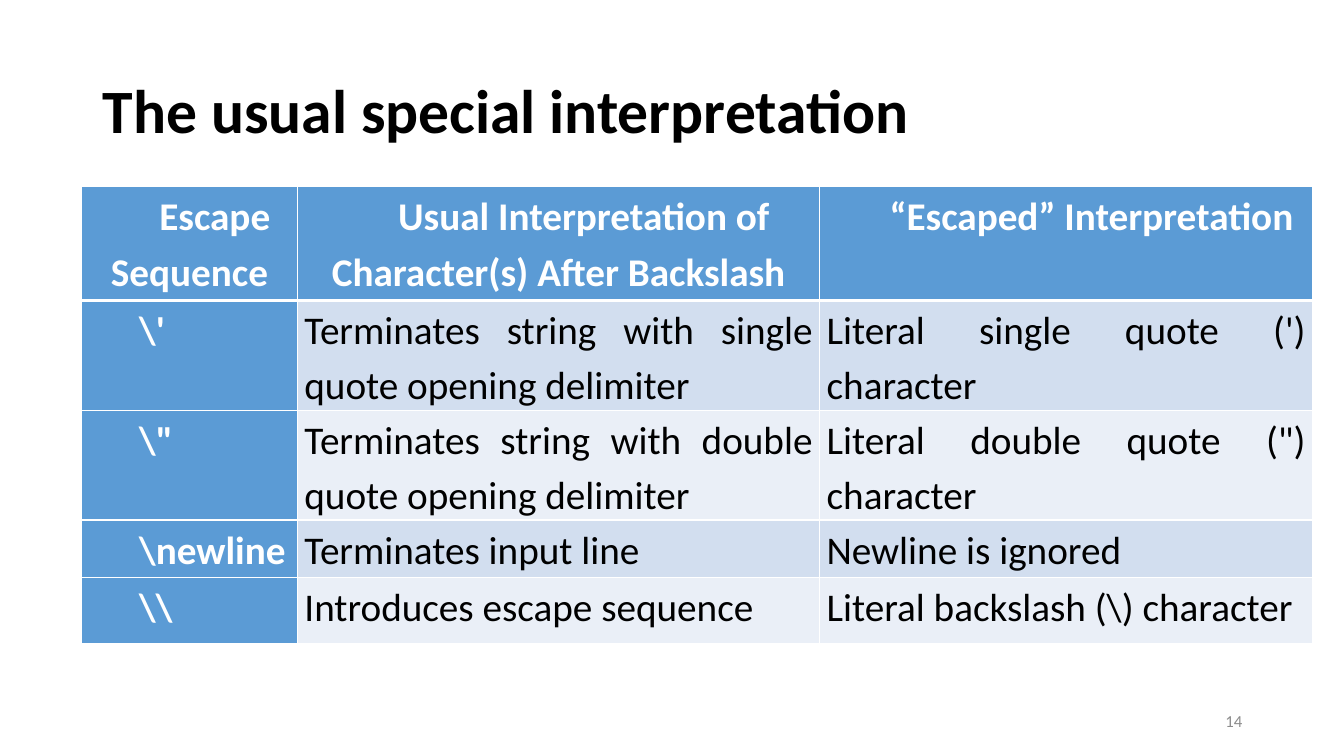
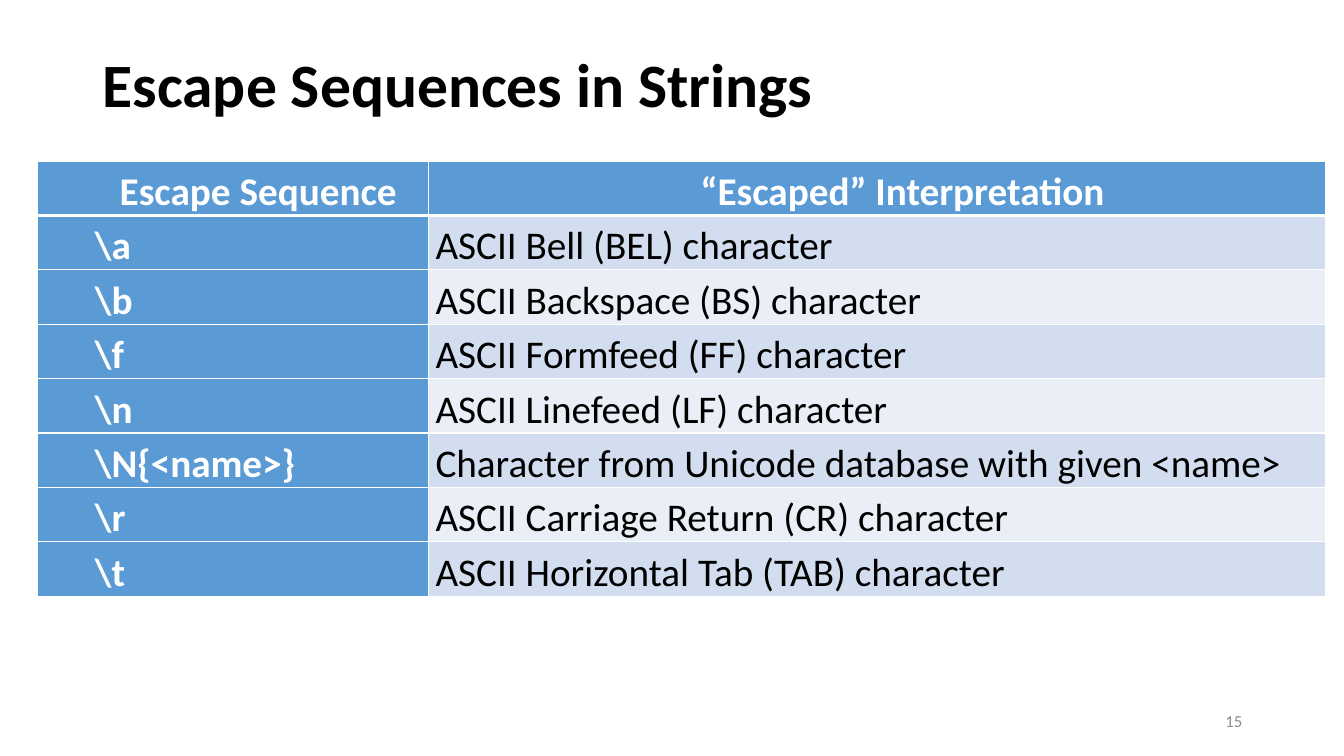
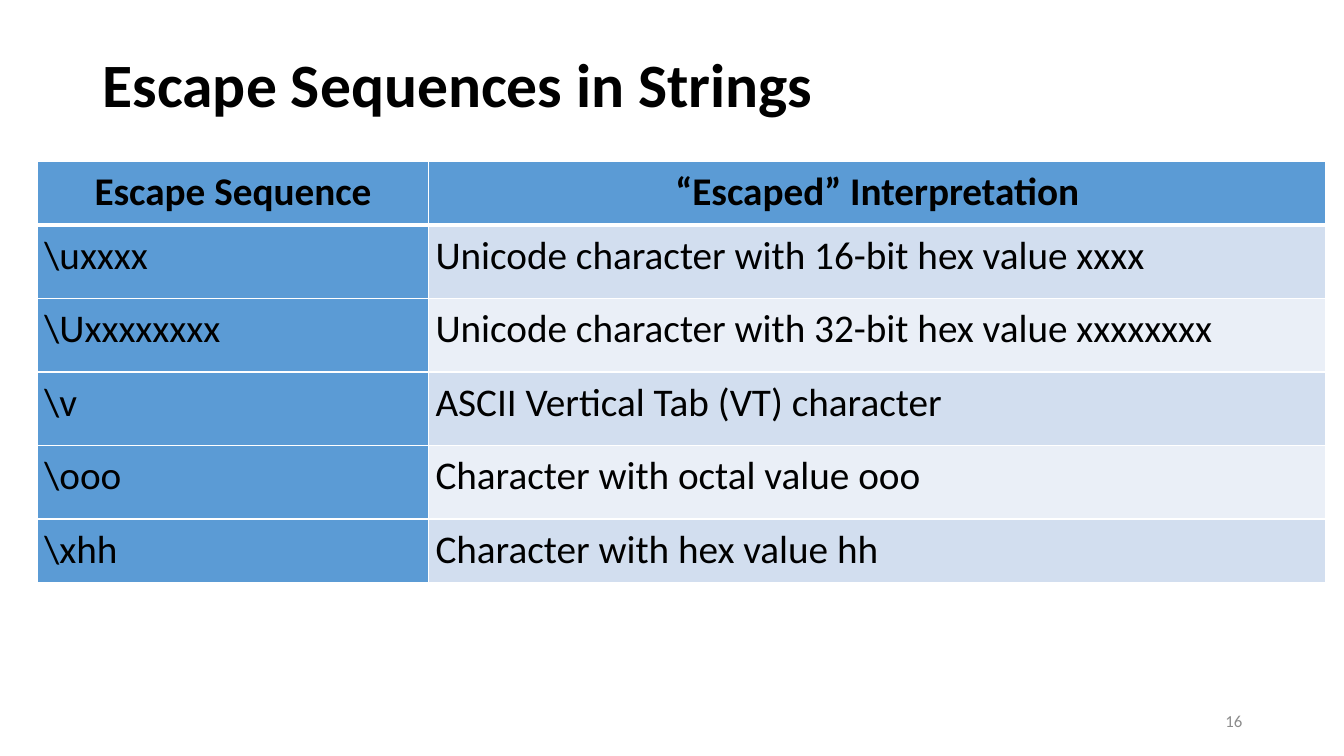
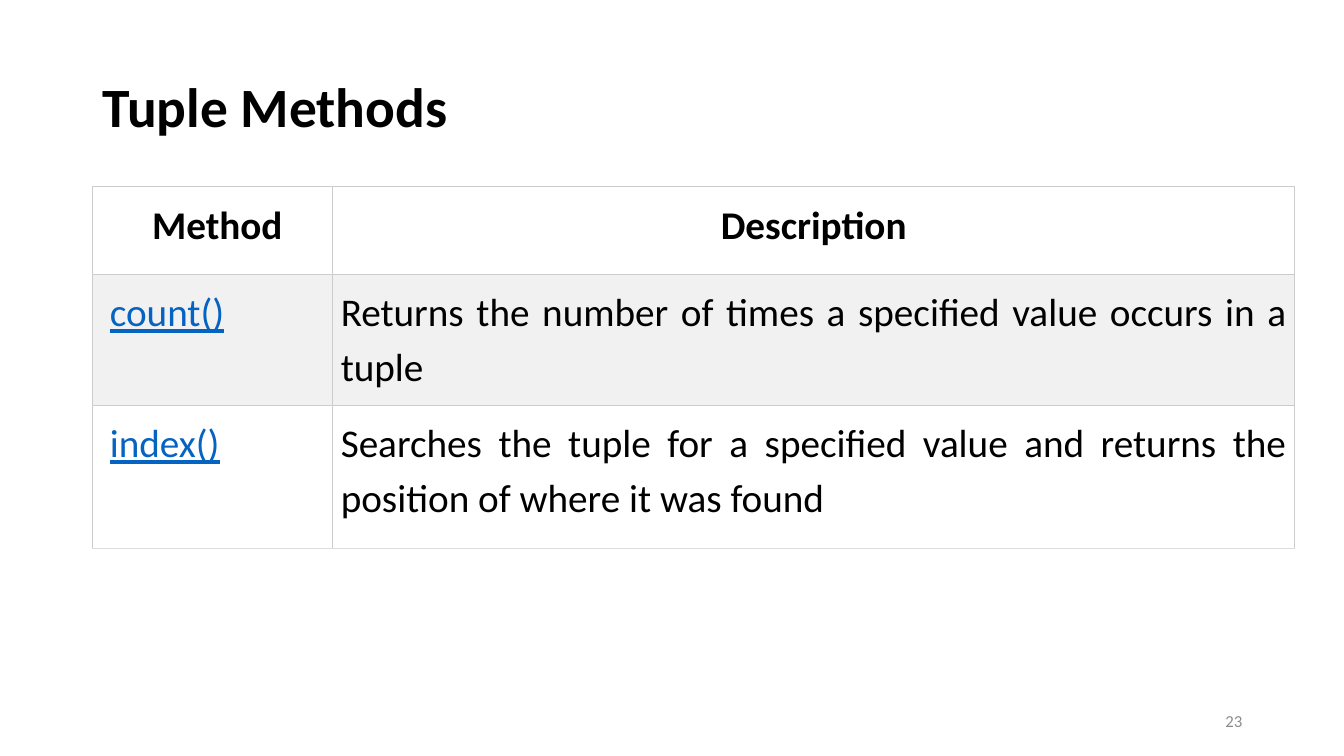
from dataclasses import dataclass, replace
from typing import Any

from lxml.etree import SubElement
from pptx import Presentation
from pptx.dml.color import RGBColor
from pptx.enum.text import MSO_ANCHOR as Anchor, PP_ALIGN as Align
from pptx.oxml.ns import qn
from pptx.util import Emu, Pt

EMU_PER_PX = 9144  # 100 px to the inch
FONT = "Calibri"
COLORS = {
    "black": "000000",
    "white": "FFFFFF",
    "blue": "5B9BD5",
    "band_dark": "D2DEEF",
    "band_light": "EAEFF7",
    "band_gray": "F1F1F1",
    "grid": "CCCCCC",
    "grid_end": "DDDDDD",
    "link": "0563C1",
    "footer": "8C8C8C",
}


@dataclass(frozen=True)
class Box:
    left: int
    top: int
    width: int
    height: int


@dataclass(frozen=True)
class TextStyle:
    size: float = 28
    color: str = "black"
    bold: bool = False
    underline: bool = False
    align: Any = Align.JUSTIFY
    indent: int = 0
    line_spacing: float = 1.15
    space_before: int = 6


@dataclass(frozen=True)
class Border:
    color: str
    points: float


@dataclass(frozen=True)
class TableStyle:
    header: TextStyle
    key: TextStyle
    body: TextStyle
    header_fill: str
    key_fill: str | None  # None lets the first column follow the bands
    bands: tuple[str, str]
    grid: Border
    header_rule: Border
    last_rule: Border
    key_margins: tuple[int, int, int, int]  # left, top, right, bottom
    margins: tuple[int, int, int, int]


@dataclass(frozen=True)
class TableSlide:
    title: str
    title_box: Box
    number: int
    left: int
    top: int
    columns: list[int]
    row_heights: list[int]
    style: TableStyle
    rows: list[tuple[str, ...]]
    title_size: float = 44


FOOTER_BOX = Box(942, 695, 300, 40)
TITLE_TALL = Box(92, 40, 1150, 145)
TITLE_SHORT = Box(92, 40, 1150, 93)
TITLE_TEXT = TextStyle(bold=True, align=Align.LEFT, line_spacing=0.9, space_before=0)
FOOTER_TEXT = TextStyle(12, "footer", align=Align.RIGHT, line_spacing=1, space_before=0)

PLAIN = TextStyle()
HEADING = TextStyle(bold=True, align=Align.CENTER)
THIN_WHITE = Border("white", 1)
THIN_GRAY = Border("grid", 0.75)

BLUE_PLAIN = TableStyle(
    header=HEADING, key=PLAIN, body=PLAIN,
    header_fill="blue", key_fill="blue", bands=("band_dark", "band_light"),
    grid=THIN_WHITE, header_rule=Border("white", 3), last_rule=THIN_WHITE,
    key_margins=(7, 0, 7, 0), margins=(7, 0, 7, 0),
)
BLUE_INDENTED = replace(
    BLUE_PLAIN,
    header=replace(HEADING, color="white", indent=50),
    key=TextStyle(color="white", bold=True, indent=50),
)
GRAY_GRID = TableStyle(
    header=HEADING, key=TextStyle(color="link", underline=True), body=PLAIN,
    header_fill="white", key_fill=None, bands=("band_gray", "white"),
    grid=THIN_GRAY, header_rule=THIN_GRAY, last_rule=Border("grid_end", 0.75),
    key_margins=(17, 8, 8, 8), margins=(8, 8, 8, 8),
)

SLIDES = [
    TableSlide(
        "The usual special interpretation", TITLE_TALL, 14, 81, 185,
        [214, 518, 489], [113, 109, 109, 57, 66], BLUE_INDENTED,
        [
            ("Escape\nSequence",
             "Usual Interpretation of\nCharacter(s) After Backslash",
             "“Escaped” Interpretation"),
            (r"\'", "Terminates string with single quote opening delimiter",
             "Literal single quote (') character"),
            (r'\"', "Terminates string with double quote opening delimiter",
             'Literal double quote (") character'),
            (r"\newline", "Terminates input line", "Newline is ignored"),
            (r"\\", "Introduces escape sequence", r"Literal backslash (\) character"),
        ],
    ),
    TableSlide(
        "Escape Sequences in Strings", TITLE_SHORT, 15, 37, 160,
        [388, 890], [51] + [54] * 7, BLUE_INDENTED,
        [
            ("Escape Sequence", "“Escaped” Interpretation"),
            (r"\a", "ASCII Bell (BEL) character"),
            (r"\b", "ASCII Backspace (BS) character"),
            (r"\f", "ASCII Formfeed (FF) character"),
            (r"\n", "ASCII Linefeed (LF) character"),
            (r"\N{<name>}", "Character from Unicode database with given <name>"),
            (r"\r", "ASCII Carriage Return (CR) character"),
            (r"\t", "ASCII Horizontal Tab (TAB) character"),
        ],
    ),
    TableSlide(
        "Escape Sequences in Strings", TITLE_SHORT, 16, 37, 160,
        [388, 890], [63] + [73] * 4 + [63], BLUE_PLAIN,
        [
            ("Escape Sequence", "“Escaped” Interpretation"),
            (r"\uxxxx", "Unicode character with 16-bit hex value xxxx"),
            (r"\Uxxxxxxxx", "Unicode character with 32-bit hex value xxxxxxxx"),
            (r"\v", "ASCII Vertical Tab (VT) character"),
            (r"\ooo", "Character with octal value ooo"),
            (r"\xhh", "Character with hex value hh"),
        ],
    ),
    TableSlide(
        "Tuple Methods", replace(TITLE_TALL, height=137), 23, 92, 185,
        [238, 954], [87, 130, 142], GRAY_GRID,
        [
            ("Method", "Description"),
            ("count()", "Returns the number of times a specified value occurs in a tuple"),
            ("index()", "Searches the tuple for a specified value and returns "
                        "the position of where it was found"),
        ],
        title_size=39.6,
    ),
]


def px(length: int) -> Emu:
    return Emu(length * EMU_PER_PX)


def rgb(name: str) -> RGBColor:
    return RGBColor.from_string(COLORS[name])


def set_attributes(target: Any, values: dict[str, Any]) -> None:
    for name, value in values.items():
        setattr(target, name, value)


def write_text(text_frame: Any, text: str, style: TextStyle) -> None:
    paragraph = text_frame.paragraphs[0]
    paragraph.text = text
    set_attributes(paragraph, {
        "alignment": style.align,
        "line_spacing": style.line_spacing,
        "space_before": Pt(style.space_before),
    })
    if style.indent:
        properties = paragraph._p.get_or_add_pPr()
        properties.set("marL", "0")
        properties.set("indent", str(px(style.indent)))
    for run in paragraph.runs:
        set_attributes(run.font, {
            "name": FONT,
            "size": Pt(style.size),
            "bold": style.bold,
            "underline": style.underline,
        })
        run.font.color.rgb = rgb(style.color)


def add_label(slide: Any, box: Box, text: str, style: TextStyle) -> None:
    shape = slide.shapes.add_textbox(
        px(box.left), px(box.top), px(box.width), px(box.height))
    set_attributes(shape.text_frame, {
        "word_wrap": True, "vertical_anchor": Anchor.MIDDLE})
    write_text(shape.text_frame, text, style)


def set_borders(cell: Any, top: Border, bottom: Border, side: Border) -> None:
    """Draw the cell's edges; call before filling, as the lines come first in the XML."""
    properties = cell._tc.get_or_add_tcPr()
    edges = {"a:lnL": side, "a:lnR": side, "a:lnT": top, "a:lnB": bottom}
    for tag, border in edges.items():
        line = SubElement(properties, qn(tag), w=str(Pt(border.points)))
        fill = SubElement(line, qn("a:solidFill"))
        SubElement(fill, qn("a:srgbClr"), val=COLORS[border.color])


def format_cell(cell: Any, row: int, column: int, last_row: int,
                style: TableStyle) -> TextStyle:
    """Set borders, fill and margins by position, and return the text style."""
    top = style.header_rule if row == 1 else style.grid
    bottom = {0: style.header_rule, last_row: style.last_rule}.get(row, style.grid)
    set_borders(cell, top, bottom, style.grid)

    band = style.bands[(row - 1) % 2]
    if row == 0:
        fill, text_style = style.header_fill, style.header
    elif column == 0:
        fill, text_style = style.key_fill or band, style.key
    else:
        fill, text_style = band, style.body
    cell.fill.solid()
    cell.fill.fore_color.rgb = rgb(fill)

    margins = style.margins if column else style.key_margins
    names = ("margin_left", "margin_top", "margin_right", "margin_bottom")
    set_attributes(cell, dict(zip(names, map(px, margins))))
    return text_style


def add_table(slide: Any, content: TableSlide) -> None:
    frame = slide.shapes.add_table(
        len(content.rows), len(content.columns), px(content.left), px(content.top),
        px(sum(content.columns)), px(sum(content.row_heights)))
    table = frame.table
    set_attributes(table, {"first_row": False, "horz_banding": False})
    for column, width in zip(table.columns, content.columns):
        column.width = px(width)
    for row, height in zip(table.rows, content.row_heights):
        row.height = px(height)
    for row_index, texts in enumerate(content.rows):
        for column_index, text in enumerate(texts):
            cell = table.cell(row_index, column_index)
            text_style = format_cell(
                cell, row_index, column_index, len(content.rows) - 1, content.style)
            write_text(cell.text_frame, text, text_style)


def main() -> None:
    presentation = Presentation()
    set_attributes(presentation, {"slide_width": px(1333), "slide_height": px(750)})
    blank_layout = presentation.slide_layouts[6]
    for content in SLIDES:
        slide = presentation.slides.add_slide(blank_layout)
        add_label(slide, content.title_box, content.title,
                  replace(TITLE_TEXT, size=content.title_size))
        add_table(slide, content)
        add_label(slide, FOOTER_BOX, str(content.number), FOOTER_TEXT)
    presentation.save("out.pptx")


if __name__ == "__main__":
    main()
